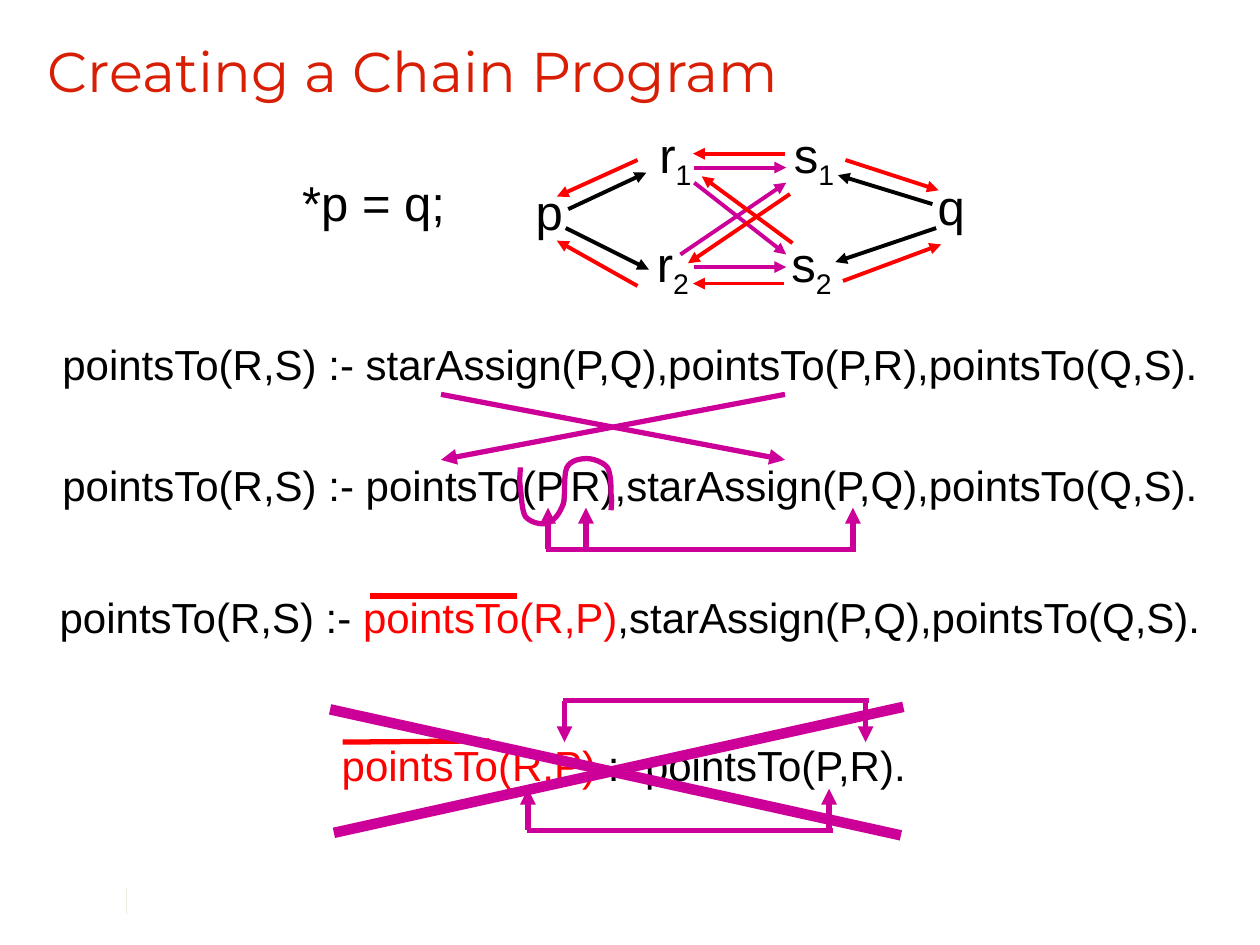
from dataclasses import dataclass

from lxml import etree
from pptx import Presentation
from pptx import util as u
from pptx.dml.color import RGBColor
from pptx.enum import shapes, text
from pptx.oxml.ns import qn

COLORS = {
    "title": "D81E05",
    "black": "000000",
    "red": "FF0000",
    "magenta": "CC0099",
    "rule": "EEECE1",
}


@dataclass
class Run:
    text: str
    color: str = "black"
    subscript: bool = False


@dataclass
class Label:
    box: tuple[float, float, float, float]
    runs: list[Run]
    size: int = 24


@dataclass
class Line:
    start: tuple[float, float]
    end: tuple[float, float]
    color: str = "magenta"
    width: float = 3
    arrow: bool = True


def inches(value: float) -> u.Length:
    return u.Cm(value * 2.54)


def rgb(name: str) -> RGBColor:
    return RGBColor.from_string(COLORS[name])


def set_values(target, values: dict) -> None:
    for name, value in values.items():
        setattr(target, name, value)


def style_line(shape, color: str, width: float) -> None:
    shape.line.color.rgb = rgb(color)
    shape.line.width = u.Pt(width)


def draw_label(slide, label: Label, font: str = "Arial", wrap: bool = False,
               align=text.PP_ALIGN.CENTER) -> None:
    shape = slide.shapes.add_textbox(*map(inches, label.box))
    set_values(shape.text_frame, {
        "word_wrap": wrap,
        "auto_size": text.MSO_AUTO_SIZE.NONE if wrap else text.MSO_AUTO_SIZE.SHAPE_TO_FIT_TEXT,
        "vertical_anchor": text.MSO_ANCHOR.MIDDLE,
    })
    paragraph = shape.text_frame.paragraphs[0]
    paragraph.alignment = align
    for part in label.runs:
        run = paragraph.add_run()
        run.text = part.text
        set_values(run.font, {"name": font, "size": u.Pt(label.size)})
        run.font.color.rgb = rgb(part.color)
        if part.subscript:
            run._r.get_or_add_rPr().set("baseline", "-25000")


def draw_line(slide, line: Line) -> None:
    connector = slide.shapes.add_connector(
        shapes.MSO_CONNECTOR.STRAIGHT, *map(inches, line.start + line.end))
    style_line(connector, line.color, line.width)
    if line.arrow:
        etree.SubElement(connector.line._get_or_add_ln(), qn("a:tailEnd"), type="triangle")
    etree.SubElement(connector._element.spPr, qn("a:effectLst"))


def draw_bracket(slide, left: float, right: float, bar_y: float, tip_y: float,
                 arrows: list[float]) -> None:
    """Draw a horizontal bar with vertical arrows that rise or fall from it."""
    draw_line(slide, Line((left, bar_y), (right, bar_y), arrow=False))
    for x in arrows:
        draw_line(slide, Line((x, bar_y), (x, tip_y)))


def bezier_points(points: list[tuple[float, float]], steps: int = 10):
    """Sample a chain of cubic curves that share their end points."""
    for first in range(0, len(points) - 1, 3):
        a, b, c, d = points[first:first + 4]
        for step in range(1, steps + 1):
            t = step / steps
            s = 1 - t
            yield tuple(inches(s**3 * i + 3 * s * s * t * j + 3 * s * t * t * k + t**3 * m)
                        for i, j, k, m in zip(a, b, c, d))


def draw_curve(slide, points: list[tuple[float, float]]) -> None:
    builder = slide.shapes.build_freeform(*map(inches, points[0]))
    builder.add_line_segments(list(bezier_points(points)), close=False)
    curve = builder.convert_to_shape()
    curve.shadow.inherit = False
    curve.fill.background()
    style_line(curve, "magenta", 3)


def node(left: float, top: float, width: float, name: str, index: str = "") -> Label:
    runs = [Run(name)] + ([Run(index, subscript=True)] if index else [])
    return Label((left, top, width, 0.57), runs, 28)


TITLE = Label((0.28, 0.23, 9.4, 0.65), [Run("Creating a Chain Program", "title")], 32)

NODES = [
    node(2.29, 1.32, 1.35, "*p = q;"),
    node(4.15, 1.39, 0.42, "p"),
    node(7.34, 1.35, 0.42, "q"),
    node(5.12, 0.97, 0.48, "r", "1"),
    node(5.1, 1.83, 0.48, "r", "2"),
    node(6.19, 0.97, 0.54, "s", "1"),
    node(6.17, 1.83, 0.54, "s", "2"),
]

RULES = [
    Label((0.35, 2.64, 9.3, 0.5),
          [Run("pointsTo(R,S) :- starAssign(P,Q),pointsTo(P,R),pointsTo(Q,S).")]),
    Label((0.35, 3.6, 9.3, 0.5),
          [Run("pointsTo(R,S) :- pointsTo(P,R),starAssign(P,Q),pointsTo(Q,S).")]),
    Label((0.33, 4.64, 9.34, 0.51),
          [Run("pointsTo(R,S) :- "), Run("pointsTo(R,P)", "red"),
           Run(",starAssign(P,Q),pointsTo(Q,S).")]),
    Label((2.59, 5.81, 4.72, 0.51),
          [Run("pointsTo(R,P)", "red"), Run(" :- pointsTo(P,R).")]),
]

GRAPH_EDGES = {
    "black": [
        ((4.51, 1.66), (5.13, 1.37)), ((4.49, 1.81), (5.15, 2.14)),
        ((7.4, 1.62), (6.65, 1.39)), ((7.43, 1.81), (6.63, 2.08)),
    ],
    "magenta": [
        ((5.51, 1.33), (6.24, 1.33)), ((5.51, 2.12), (6.24, 2.12)),
        ((5.51, 1.45), (6.24, 2.02)), ((5.4, 2.02), (6.24, 1.45)),
    ],
    "red": [
        ((5.06, 1.27), (4.42, 1.56)), ((5.06, 2.27), (4.42, 1.91)),
        ((6.71, 1.27), (7.45, 1.51)), ((6.69, 2.23), (7.47, 1.94)),
        ((6.22, 2.25), (5.5, 2.25)), ((6.23, 1.22), (5.5, 1.22)),
        ((6.29, 1.93), (5.57, 1.4)), ((6.27, 1.54), (5.46, 2.09)),
    ],
}

SWAP_ARROWS = [Line((3.5, 3.13), (6.23, 3.65)), Line((6.23, 3.13), (3.5, 3.65))]
OVERLINES = [
    Line((2.94, 4.73), (4.1, 4.73), "red", arrow=False),
    Line((2.72, 5.89), (3.88, 5.88), "red", arrow=False),
]
CROSS_OUT = [
    Line((2.62, 5.63), (7.15, 6.63), width=6, arrow=False),
    Line((2.65, 6.61), (7.17, 5.61), width=6, arrow=False),
]
SWAP_CURVE = [
    (4.13, 3.71), (4.13, 3.74), (4.12, 3.81), (4.13, 3.87),
    (4.14, 3.94), (4.14, 4.05), (4.17, 4.1), (4.21, 4.15), (4.31, 4.17), (4.35, 4.15),
    (4.4, 4.13), (4.44, 4.08), (4.47, 4), (4.49, 3.93), (4.47, 3.77), (4.5, 3.71),
    (4.53, 3.65), (4.61, 3.64), (4.66, 3.64), (4.71, 3.64), (4.79, 3.67), (4.82, 3.71),
    (4.85, 3.76), (4.85, 3.86), (4.85, 3.92), (4.86, 3.98), (4.85, 4.03), (4.85, 4.05),
]


def main() -> None:
    presentation = Presentation()
    set_values(presentation, {"slide_width": inches(10), "slide_height": inches(7.5)})
    slide = presentation.slides.add_slide(presentation.slide_layouts[6])

    draw_line(slide, Line((1, 7.05), (1, 7.25), "rule", 0.25, arrow=False))
    draw_label(slide, TITLE, "Montserrat", wrap=True, align=text.PP_ALIGN.LEFT)
    for label in NODES + RULES:
        draw_label(slide, label)
    for color, edges in GRAPH_EDGES.items():
        for start, end in edges:
            draw_line(slide, Line(start, end, color, 2.25))
    draw_curve(slide, SWAP_CURVE)
    for line in SWAP_ARROWS + OVERLINES + CROSS_OUT:
        draw_line(slide, line)
    draw_bracket(slide, 4.33, 6.79, 4.36, 4.03, [4.35, 4.65, 6.77])
    draw_bracket(slide, 4.18, 6.61, 6.59, 6.26, [4.19, 6.58])
    draw_bracket(slide, 4.47, 6.9, 5.56, 5.89, [4.48, 6.87])

    presentation.save("out.pptx")


if __name__ == "__main__":
    main()
